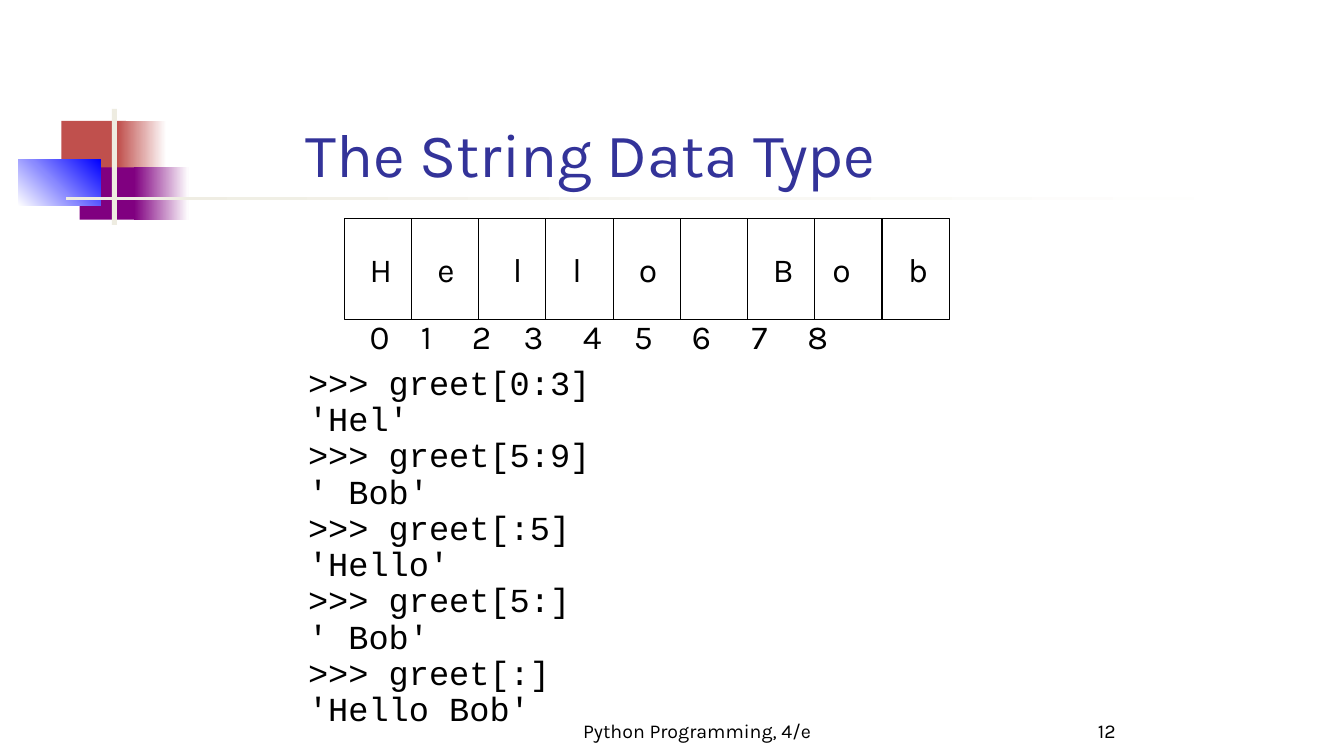
import pptx
import pptx.dml.color
import pptx.enum.shapes
import pptx.enum.text
import pptx.oxml
import pptx.oxml.ns
import pptx.util

Pt = pptx.util.Pt
ALIGN = pptx.enum.text.PP_ALIGN
ANCHOR = pptx.enum.text.MSO_ANCHOR

BLACK, WHITE, TITLE_BLUE = "000000", "FFFFFF", "333399"
RED, PURPLE, BLUE, CREAM = "C0504D", "800080", "0000FF", "EEECE1"

# Decoration: left, top, width, height, colours (two make a gradient), angle
DECORATION = [
    (43.9, 86.4, 46.1, 37.4, [RED], 0),
    (84.2, 86.4, 34.6, 37.4, [RED, WHITE], 0),
    (56.9, 119.5, 43.9, 37.4, [PURPLE], 0),
    (95.8, 119.5, 38.9, 37.4, [PURPLE, WHITE], 0),
    (13.0, 113.8, 59.0, 33.1, [WHITE, BLUE], 45),
    (80.0, 77.8, 3.6, 82.8, [CREAM], 0),
    (46.8, 140.4, 863.3, 2.2, [CREAM, WHITE], 0),
]

# String diagram: letter, left and width of its box
LETTERS = [
    ("H", 257, 32.4), ("e", 305.3, 28.8), ("l", 359.3, 20.9),
    ("l", 401.8, 20.9), ("o", 449.3, 28.8), ("B", 545, 30.2),
    ("o", 587.5, 28.8), ("b", 641.5, 29.5),
]
INDEX_CENTRES = [18, 51.5, 91, 128, 170, 206.5, 248, 289.5, 331]
GRID_LEFT, GRID_TOP, CELL_WIDTH, GRID_HEIGHT = 246, 156, 48, 72

CODE = [
    ">>> greet[0:3]", "'Hel'",
    ">>> greet[5:9]", "' Bob'",
    ">>> greet[:5]", "'Hello'",
    ">>> greet[5:]", "' Bob'",
    ">>> greet[:]", "'Hello Bob'",
]


def rgb(value):
    return pptx.dml.color.RGBColor.from_string(value)


def add_rect(slide, left, top, width, height, colours=(), angle=0, line=None):
    sp = slide.shapes.add_shape(pptx.enum.shapes.MSO_SHAPE.RECTANGLE,
                                Pt(left), Pt(top), Pt(width), Pt(height))
    sp.shadow.inherit = False
    if len(colours) == 2:
        sp.fill.gradient()
        sp.fill.gradient_angle = angle
        for stop, colour in zip(sp.fill.gradient_stops, colours):
            stop.color.rgb = rgb(colour)
    elif colours:
        sp.fill.solid()
        sp.fill.fore_color.rgb = rgb(colours[0])
    else:
        sp.fill.background()
    if line:
        sp.line.color.rgb = rgb(line)
        sp.line.width = Pt(0.75)
    else:
        sp.line.fill.background()
    return sp


def add_divider(slide, x, top, bottom):
    cxn = slide.shapes.add_connector(pptx.enum.shapes.MSO_CONNECTOR.STRAIGHT,
                                     Pt(x), Pt(top), Pt(x), Pt(bottom))
    cxn.line.color.rgb = rgb(BLACK)
    cxn.line.width = Pt(0.75)
    pptx.oxml.ns.qn("a:effectLst")
    cxn._element.spPr.append(pptx.oxml.parse_xml(
        "<a:effectLst %s/>" % pptx.oxml.ns.nsdecls("a")))


def add_text(slide, left, top, width, height, lines, size, font="Karla",
             colour=BLACK, align=ALIGN.LEFT, anchor=ANCHOR.TOP, wrap=True):
    tb = slide.shapes.add_textbox(Pt(left), Pt(top), Pt(width), Pt(height))
    tf = tb.text_frame
    tf.word_wrap = wrap
    tf.vertical_anchor = anchor
    for i, line in enumerate(lines):
        p = tf.add_paragraph() if i else tf.paragraphs[0]
        p.alignment = align
        r = p.add_run()
        r.text = line
        r.font.size = Pt(size)
        r.font.name = font
        r.font.color.rgb = rgb(colour)
    return tf


def set_code_layout(tf):
    for p in tf.paragraphs:
        p.line_spacing = 0.9
        pPr = p._p.get_or_add_pPr()
        pPr.set("marL", str(Pt(27)))
        pPr.set("indent", str(-Pt(27)))


def set_centre_tabs(p, positions):
    stops = "".join('<a:tab pos="%d" algn="ctr"/>' % Pt(x) for x in positions)
    p._p.get_or_add_pPr().append(pptx.oxml.parse_xml(
        "<a:tabLst %s>%s</a:tabLst>" % (pptx.oxml.ns.nsdecls("a"), stops)))


def add_string_diagram(slide):
    cells = len(INDEX_CENTRES)
    add_rect(slide, GRID_LEFT, GRID_TOP, cells * CELL_WIDTH, GRID_HEIGHT,
             line=BLACK)
    for i in range(1, cells):
        add_divider(slide, GRID_LEFT + i * CELL_WIDTH,
                    GRID_TOP, GRID_TOP + GRID_HEIGHT)
    for letter, left, width in LETTERS:
        add_text(slide, left, 174, width, 36, [letter], 24, wrap=False)
    # Index numbers below the cells
    numbers = "".join("\t%d" % i for i in range(cells))
    tf = add_text(slide, GRID_LEFT, 222, cells * CELL_WIDTH, 65, [numbers], 24)
    set_centre_tabs(tf.paragraphs[0], INDEX_CENTRES)


def main():
    prs = pptx.Presentation()
    prs.slide_width, prs.slide_height = Pt(960), Pt(540)
    slide = prs.slides.add_slide(prs.slide_layouts[6])

    # Corner decoration
    for left, top, width, height, colours, angle in DECORATION:
        add_rect(slide, left, top, width, height, colours, angle)

    # Footer and slide number
    add_text(slide, 384, 498, 228, 36, ["Python Programming, 4/e"], 14,
             align=ALIGN.CENTER, anchor=ANCHOR.BOTTOM)
    add_text(slide, 654, 498, 150, 36, ["12"], 14,
             align=ALIGN.RIGHT, anchor=ANCHOR.BOTTOM)

    # Title and code
    add_text(slide, 211, 49, 613.5, 90, ["The String Data Type"], 44,
             colour=TITLE_BLUE, anchor=ANCHOR.BOTTOM)
    set_code_layout(add_text(slide, 213, 258, 612, 224.6, CODE, 24,
                             font="Courier New"))

    add_string_diagram(slide)
    prs.save("out.pptx")


if __name__ == "__main__":
    main()
